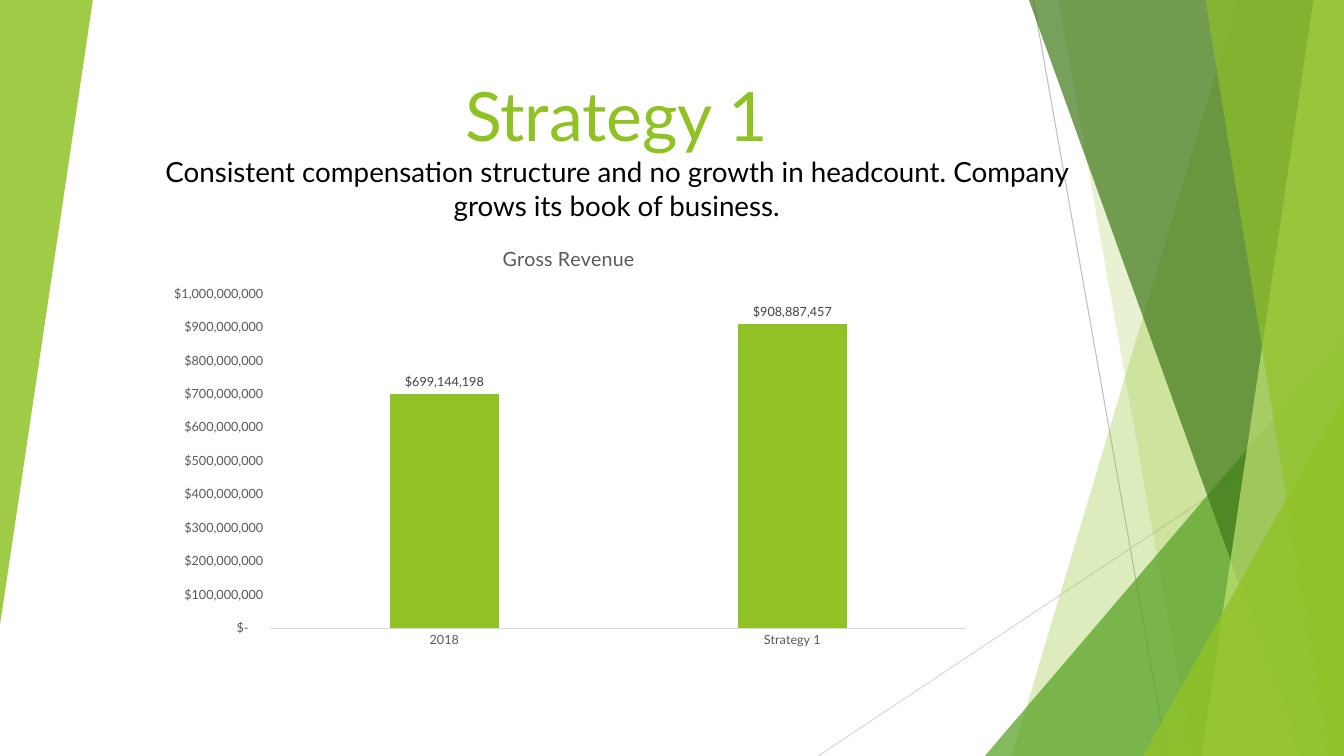
"""Build the Strategy 1 slide: green facets, a title and a revenue chart."""
from dataclasses import dataclass

import pptx
import pptx.chart.data
import pptx.dml.color
import pptx.enum.chart
import pptx.enum.shapes
import pptx.enum.text
import pptx.oxml.ns
import pptx.oxml.xmlchemy
import pptx.util
from lxml import etree

Cm = pptx.util.Cm
Pt = pptx.util.Pt
WIDTH, HEIGHT = 33.87, 19.05
DOLLARS = r'_("$"* #,##0_);_("$"* \(#,##0\);_("$"* "-"??_);_(@_)'


@dataclass(frozen=True)
class Theme:
    """Colours, font and type sizes of the slide."""
    font: str = "Lato"
    green: str = "90C226"
    leaf: str = "54A021"
    forest: str = "3F7819"
    lime: str = "C0E474"
    black: str = "000000"
    label: str = "404040"
    grey: str = "595959"
    silver: str = "BFBFBF"
    rule: str = "D9D9D9"
    headline: float = 48.6
    subtitle: float = 19.8
    chart_title: float = 14
    chart_base: float = 10
    small: float = 9
    hairline: float = 0.75


THEME = Theme()


def assign(target, values):
    """Set each named attribute of the target."""
    for name, value in values.items():
        setattr(target, name, value)


def rgb(colour):
    """Turn a hex string into a colour value."""
    return pptx.dml.color.RGBColor.from_string(colour)


def set_font(font, size, colour):
    """Apply the theme font in a size and colour."""
    assign(font, {"name": THEME.font, "size": Pt(size), "bold": False})
    font.color.rgb = rgb(colour)


def set_line(line, colour):
    """Draw a line as a hairline."""
    line.color.rgb = rgb(colour)
    line.width = Pt(THEME.hairline)


def paint(shape, colour, opacity):
    """Fill a shape with a translucent colour and no outline."""
    shape.shadow.inherit = False
    shape.line.fill.background()
    shape.fill.solid()
    shape.fill.fore_color.rgb = rgb(colour)
    tone = shape.fill._xPr.find(".//" + pptx.oxml.ns.qn("a:srgbClr"))
    alpha = etree.SubElement(tone, pptx.oxml.ns.qn("a:alpha"))
    alpha.set("val", str(opacity * 1000))


def add_hairline(page, ends, colour):
    """Add a thin straight line."""
    connector = page.shapes.add_connector(
        pptx.enum.shapes.MSO_CONNECTOR.STRAIGHT, *map(Cm, ends))
    set_line(connector.line, colour)
    etree.SubElement(connector._element.spPr, pptx.oxml.ns.qn("a:effectLst"))


def add_facet(page, top_x, bottom_x, colour, opacity):
    """Add a facet from a slanted left edge to the right slide edge."""
    corners = [(top_x, 0), (WIDTH, 0), (WIDTH, HEIGHT), (bottom_x, HEIGHT)]
    points = [(Cm(x), Cm(y)) for x, y in corners]
    builder = page.shapes.build_freeform(*points[0])
    builder.add_line_segments(points[1:], close=True)
    paint(builder.convert_to_shape(), colour, opacity)


def add_triangle(page, frame, colour, opacity, rotation=0):
    """Add a triangle whose tip stands above its right corner."""
    triangle = page.shapes.add_shape(
        pptx.enum.shapes.MSO_SHAPE.ISOSCELES_TRIANGLE, *map(Cm, frame))
    triangle.adjustments[0] = 1
    triangle.rotation = rotation
    paint(triangle, colour, opacity)


def add_heading(page, frame, headline, subtitle):
    """Add the headline with its subtitle on the next line."""
    box = page.shapes.add_textbox(*map(Cm, frame))
    assign(box.text_frame, {
        "word_wrap": True,
        "vertical_anchor": pptx.enum.text.MSO_ANCHOR.BOTTOM,
    })
    para = box.text_frame.paragraphs[0]
    para.alignment = pptx.enum.text.PP_ALIGN.CENTER
    span = para.add_run()
    span.text = headline
    set_font(span.font, THEME.headline, THEME.green)
    para.add_line_break()
    span = para.add_run()
    span.text = subtitle
    set_font(span.font, THEME.subtitle, THEME.black)


def style_axis(axis):
    """Give an axis small grey labels without ticks or gridlines."""
    none = pptx.enum.chart.XL_TICK_MARK.NONE
    assign(axis, {"has_major_gridlines": False,
                  "major_tick_mark": none, "minor_tick_mark": none})
    set_font(axis.tick_labels.font, THEME.small, THEME.grey)


def add_column_chart(page, frame, title, values):
    """Add a clustered column chart of one dollar series."""
    data = pptx.chart.data.CategoryChartData(number_format=DOLLARS)
    data.categories = list(values)
    data.add_series(title, list(values.values()))
    chart = page.shapes.add_chart(
        pptx.enum.chart.XL_CHART_TYPE.COLUMN_CLUSTERED,
        *map(Cm, frame), data).chart
    set_font(chart.font, THEME.chart_base, THEME.black)
    chart.has_legend = False
    chart.chart_title.include_in_layout = False
    span = chart.chart_title.text_frame.paragraphs[0].add_run()
    span.text = title
    set_font(span.font, THEME.chart_title, THEME.grey)

    for axis in (chart.category_axis, chart.value_axis):
        style_axis(axis)
    set_line(chart.category_axis.format.line, THEME.rule)
    chart.value_axis.format.line.fill.background()
    number = {"number_format": DOLLARS, "number_format_is_linked": False}
    assign(chart.value_axis.tick_labels, number)

    plot = chart.plots[0]
    assign(plot, {"gap_width": 219, "overlap": -27,
                  "vary_by_categories": False})
    series = plot.series[0]
    series.format.fill.solid()
    series.format.fill.fore_color.rgb = rgb(THEME.green)
    labels = series.data_labels
    assign(labels, {
        **number, "show_value": True,
        "position": pptx.enum.chart.XL_LABEL_POSITION.OUTSIDE_END,
    })
    set_font(labels.font, THEME.small, THEME.label)


def main():
    """Build and save the slide."""
    deck = pptx.Presentation()
    assign(deck, {"slide_width": Cm(WIDTH), "slide_height": Cm(HEIGHT)})
    page = deck.slides.add_slide(deck.slide_layouts[6])

    add_hairline(page, (26.04, 0, 29.41, HEIGHT), THEME.silver)
    add_hairline(page, (WIDTH, 10.24, 20.62, HEIGHT), THEME.rule)
    add_facet(page, 31.19, 25.5, THEME.green, 30)
    add_facet(page, 26.67, 30.05, THEME.green, 20)
    add_triangle(page, (24.82, 8.46, 9.05, 10.59), THEME.leaf, 72)
    add_facet(page, 25.93, 32.79, THEME.forest, 70)
    add_facet(page, 33.1, 30.28, THEME.lime, 70)
    add_facet(page, 30.38, 33.48, THEME.green, 65)
    add_triangle(page, (28.8, 9.98, 5.07, 9.07), THEME.green, 80)
    add_triangle(page, (0, 0, 2.34, 15.75), THEME.green, 85, rotation=180)

    add_heading(page, (3.88, 1.8, 23.32, 3.91), "Strategy 1",
                "Consistent compensation structure and no growth in "
                "headcount. Company grows its book of business.")
    add_column_chart(page, (3.89, 5.72, 20.88, 10.82), "Gross Revenue",
                     {"2018": 699144198, "Strategy 1": 908887457})
    deck.save("out.pptx")


if __name__ == "__main__":
    main()
